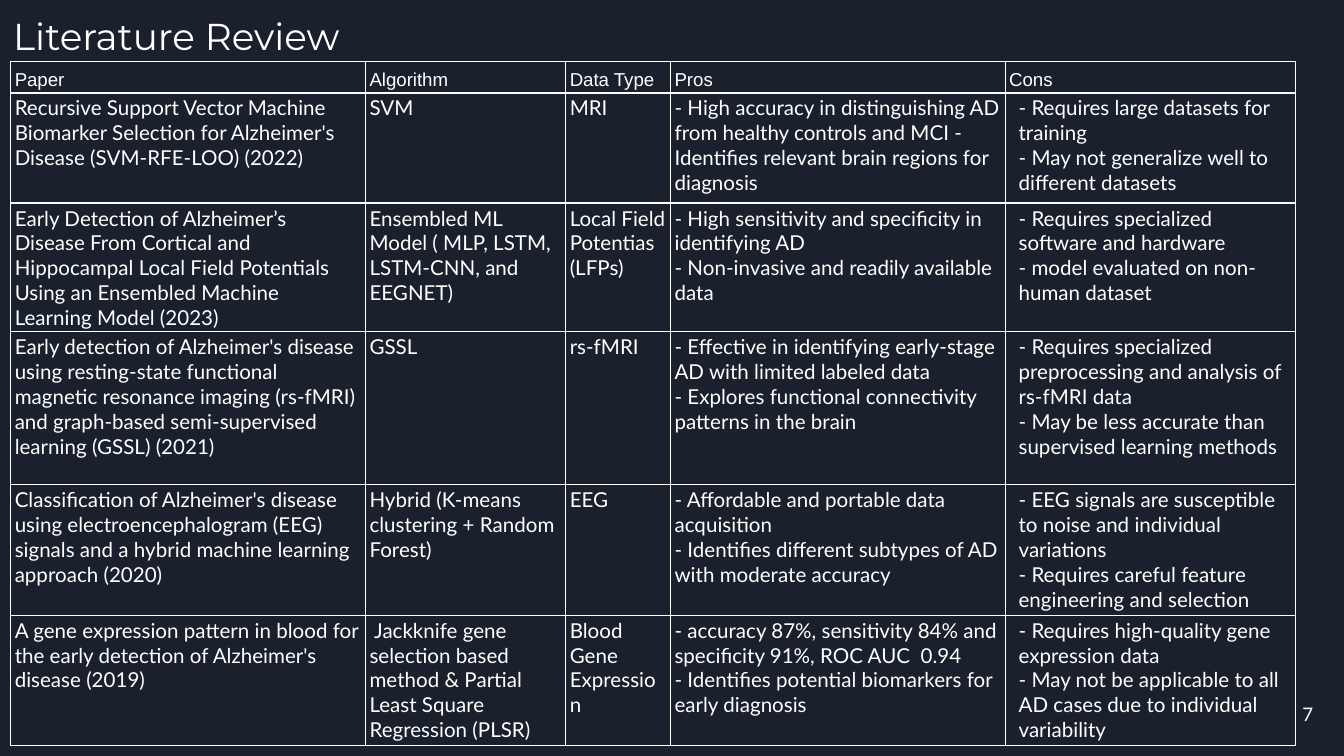
from lxml.etree import SubElement
from pptx import Presentation
from pptx.dml.color import RGBColor
from pptx.enum.text import MSO_ANCHOR as Anchor, MSO_AUTO_SIZE as AutoSize, PP_ALIGN as Align
from pptx.oxml.ns import qn
from pptx.util import Inches, Pt

WHITE = "FFFFFF"
NAVY = "1B212C"

SLIDE_WIDTH = 10
SLIDE_HEIGHT = SLIDE_WIDTH * 9 / 16  # widescreen

COLUMN_WIDTHS = [2.64, 1.49, 0.78, 2.49, 2.16]
ROW_HEIGHTS = [0.23, 0.82, 0.81, 1.14, 0.97, 0.97]
HEADINGS = ["Paper", "Algorithm", "Data Type", "Pros", "Cons"]

# One study per row; each line break starts a new paragraph
STUDIES = [
    ["Recursive Support Vector Machine Biomarker Selection for Alzheimer's Disease "
     "(SVM-RFE-LOO) (2022)",
     "SVM",
     "MRI",
     "- High accuracy in distinguishing AD from healthy controls and MCI - "
     "Identifies relevant brain regions for diagnosis",
     "- Requires large datasets for training\n"
     "- May not generalize well to different datasets"],
    ["Early Detection of Alzheimer’s Disease From Cortical and Hippocampal Local Field "
     "Potentials Using an Ensembled Machine Learning Model (2023)",
     "Ensembled ML Model ( MLP, LSTM, LSTM-CNN, and EEGNET)",
     "Local Field Potentias (LFPs)",
     "- High sensitivity and specificity in identifying AD\n"
     "- Non-invasive and readily available data",
     "- Requires specialized software and hardware\n"
     "- model evaluated on non-human dataset"],
    ["Early detection of Alzheimer's disease using resting-state functional magnetic "
     "resonance imaging (rs-fMRI) and graph-based semi-supervised learning (GSSL) (2021)",
     "GSSL",
     "rs-fMRI",
     "- Effective in identifying early-stage AD with limited labeled data\n"
     "- Explores functional connectivity patterns in the brain",
     "- Requires specialized preprocessing and analysis of rs-fMRI data\n"
     "- May be less accurate than supervised learning methods"],
    ["Classification of Alzheimer's disease using electroencephalogram (EEG) signals "
     "and a hybrid machine learning approach (2020)",
     "Hybrid (K-means clustering + Random Forest)",
     "EEG",
     "- Affordable and portable data acquisition\n"
     "- Identifies different subtypes of AD with moderate accuracy",
     "- EEG signals are susceptible to noise and individual variations\n"
     "- Requires careful feature engineering and selection"],
    ["A gene expression pattern in blood for the early detection of Alzheimer's "
     "disease (2019)",
     " Jackknife gene selection based method & Partial Least Square Regression (PLSR)",
     "Blood Gene Expression",
     "- accuracy 87%, sensitivity 84% and specificity 91%, ROC AUC  0.94\n"
     "- Identifies potential biomarkers for early diagnosis",
     "- Requires high-quality gene expression data\n"
     "- May not be applicable to all AD cases due to individual variability"],
]


def color(hex_code):
    return RGBColor.from_string(hex_code)


def write(frame, text, font, size, align=None, spacing=None):
    for index, line in enumerate(text.split("\n")):
        paragraph = frame.add_paragraph() if index else frame.paragraphs[0]
        paragraph.alignment = align
        paragraph.line_spacing = spacing
        run = paragraph.add_run()
        run.text = line
        run.font.name = font
        run.font.size = Pt(size)
        run.font.color.rgb = color(WHITE)


def add_label(slide, box, text, font, size, align=None, anchor=Anchor.TOP, grow=False):
    frame = slide.shapes.add_textbox(*map(Inches, box)).text_frame
    frame.word_wrap = True
    frame.vertical_anchor = anchor
    frame.auto_size = AutoSize.SHAPE_TO_FIT_TEXT if grow else AutoSize.NONE
    frame.margin_left = frame.margin_right = Inches(0.1)
    frame.margin_top = frame.margin_bottom = Inches(0.1)
    write(frame, text, font, size, align)


def outline_cell(cell, hex_code, width):
    properties = cell._tc.get_or_add_tcPr()
    for side in ("a:lnL", "a:lnR", "a:lnT", "a:lnB"):
        border = SubElement(properties, qn(side), w=str(Pt(width)))
        fill = SubElement(border, qn("a:solidFill"))
        SubElement(fill, qn("a:srgbClr"), val=hex_code)


def add_review_table(slide, left, top):
    size = (sum(COLUMN_WIDTHS), sum(ROW_HEIGHTS))
    table = slide.shapes.add_table(len(ROW_HEIGHTS), len(COLUMN_WIDTHS),
                                   *map(Inches, (left, top, *size))).table
    table.first_row = table.horz_banding = False
    for column, width in zip(table.columns, COLUMN_WIDTHS):
        column.width = Inches(width)
    for row, height in zip(table.rows, ROW_HEIGHTS):
        row.height = Inches(height)

    for r, texts in enumerate([HEADINGS, *STUDIES]):
        for c, text in enumerate(texts):
            cell = table.cell(r, c)
            is_heading = r == 0
            is_cons = not is_heading and HEADINGS[c] == "Cons"
            cell.margin_left = cell.margin_right = Inches(0.1 if is_cons else 0.03)
            cell.margin_top = cell.margin_bottom = Inches(0.02)
            outline_cell(cell, WHITE, 0.75)
            cell.fill.background()
            if is_heading:
                cell.vertical_anchor = Anchor.BOTTOM
                write(cell.text_frame, text, "Arial", 10, spacing=1.15)
            else:
                write(cell.text_frame, text, "Lato", 11)


def add_literature_review(deck):
    slide = deck.slides.add_slide(deck.slide_layouts[6])
    slide.background.fill.solid()
    slide.background.fill.fore_color.rgb = color(NAVY)
    # Page number
    add_label(slide, (9.27, 5.1, 0.6, 0.43), "7", "Lato", 10, Align.RIGHT, Anchor.MIDDLE)
    # Title
    add_label(slide, (0, 0, 4.89, 0.54), "Literature Review", "Montserrat", 20, grow=True)
    # Comparison of studies
    add_review_table(slide, 0.08, 0.46)


def main():
    deck = Presentation()
    deck.slide_width = Inches(SLIDE_WIDTH)
    deck.slide_height = Inches(SLIDE_HEIGHT)
    add_literature_review(deck)
    deck.save("out.pptx")


if __name__ == "__main__":
    main()
